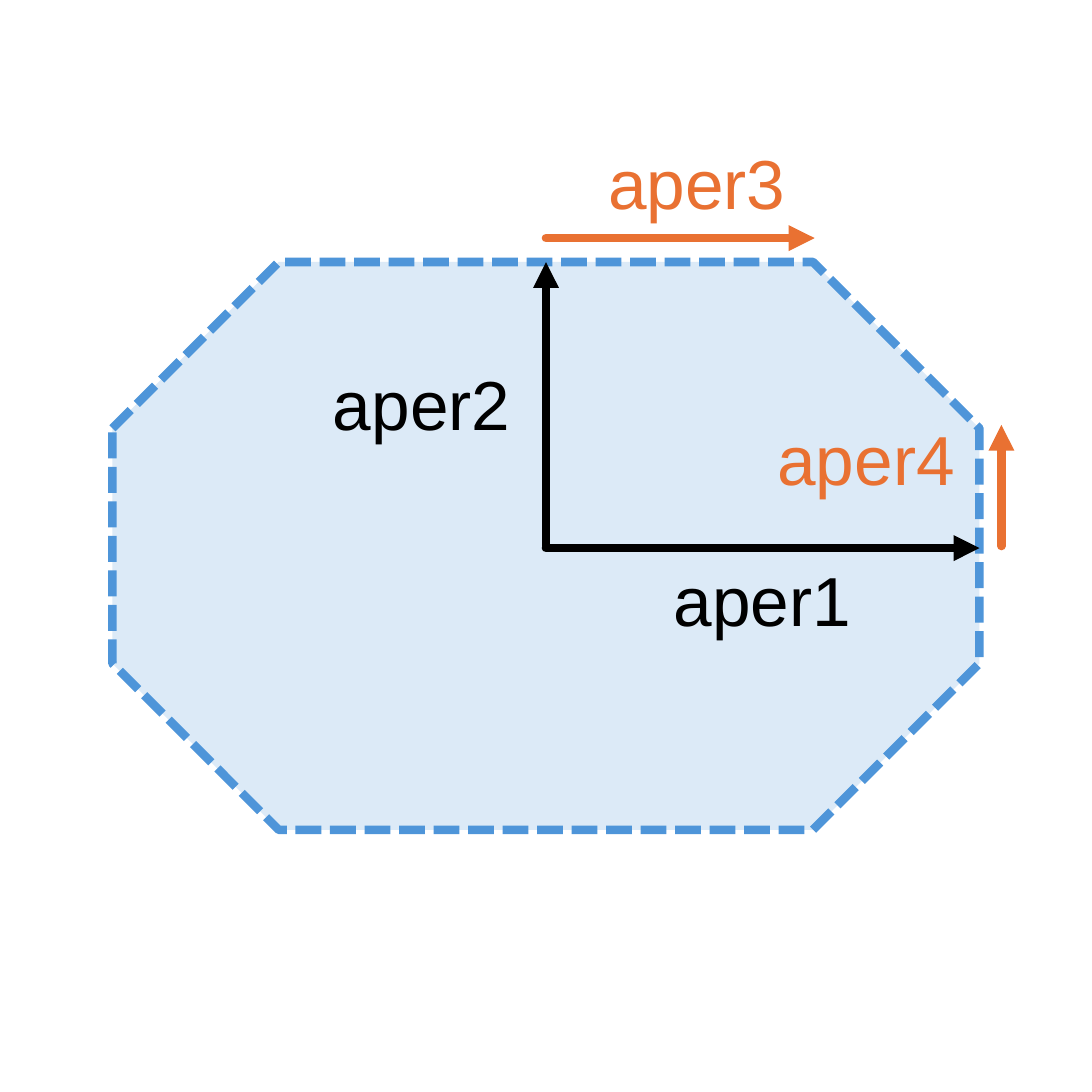
from lxml import etree
from pptx import Presentation
from pptx.dml.color import RGBColor
from pptx.enum.dml import MSO_LINE
from pptx.enum.shapes import MSO_CONNECTOR, MSO_SHAPE
from pptx.enum.text import MSO_AUTO_SIZE
from pptx.oxml.ns import qn
from pptx.util import Cm, Pt

OCTAGON = MSO_SHAPE.OCTAGON
STRAIGHT = MSO_CONNECTOR.STRAIGHT
SQUARE_DOT = MSO_LINE.SQUARE_DOT
FIT_TEXT = MSO_AUTO_SIZE.SHAPE_TO_FIT_TEXT

BLACK = RGBColor(0x00, 0x00, 0x00)
ORANGE = RGBColor(0xE9, 0x71, 0x32)
BLUE = RGBColor(0x4E, 0x95, 0xD9)
PALE_BLUE = RGBColor(0xDC, 0xEA, 0xF7)

# Geometry in centimetres
SIDE = 10
CENTRE = SIDE / 2
HALF_WIDTH, HALF_HEIGHT = 3.97, 2.6
RIGHT, TOP = CENTRE + HALF_WIDTH, CENTRE - HALF_HEIGHT
LINE_WIDTH = Pt(2.25)


def add_aperture(page):
    shape = page.shapes.add_shape(
        OCTAGON, Cm(CENTRE - HALF_WIDTH), Cm(TOP),
        Cm(2 * HALF_WIDTH), Cm(2 * HALF_HEIGHT))
    shape.shadow.inherit = False
    shape.fill.solid()
    shape.fill.fore_color.rgb = PALE_BLUE
    shape.line.color.rgb = BLUE
    shape.line.width = LINE_WIDTH
    shape.line.dash_style = SQUARE_DOT


def add_arrow(page, start, end, color):
    arrow = page.shapes.add_connector(
        STRAIGHT, *(Cm(value) for value in start + end))
    arrow.line.color.rgb = color
    arrow.line.width = LINE_WIDTH
    properties = arrow._element.spPr
    outline = properties.find(qn("a:ln"))
    outline.set("cap", "rnd")
    etree.SubElement(outline, qn("a:tailEnd"), type="triangle")
    etree.SubElement(properties, qn("a:effectLst"))


def add_label(page, text, left, top, color):
    box = page.shapes.add_textbox(Cm(left), Cm(top), Cm(2.16), Cm(1.02))
    frame = box.text_frame
    frame.word_wrap = False
    frame.auto_size = FIT_TEXT
    frame.text = text
    font = frame.paragraphs[0].runs[0].font
    font.name = "Arial"
    font.size = Pt(18)
    font.color.rgb = color


def main():
    deck = Presentation()
    deck.slide_width = deck.slide_height = Cm(SIDE)
    page = deck.slides.add_slide(deck.slide_layouts[6])

    add_aperture(page)

    # Half width and half height
    add_arrow(page, (CENTRE, 5.02), (RIGHT, 5.02), BLACK)
    add_arrow(page, (CENTRE, CENTRE), (CENTRE, TOP), BLACK)
    add_label(page, "aper1", 5.92, 4.98, BLACK)
    add_label(page, "aper2", 2.8, 3.18, BLACK)

    # Extents of the straight edges
    add_arrow(page, (CENTRE, 2.18), (7.46, 2.18), ORANGE)
    add_arrow(page, (9.17, CENTRE), (9.17, 3.89), ORANGE)
    add_label(page, "aper3", 5.32, 1.16, ORANGE)
    add_label(page, "aper4", 6.87, 3.69, ORANGE)

    deck.save("out.pptx")


if __name__ == "__main__":
    main()
